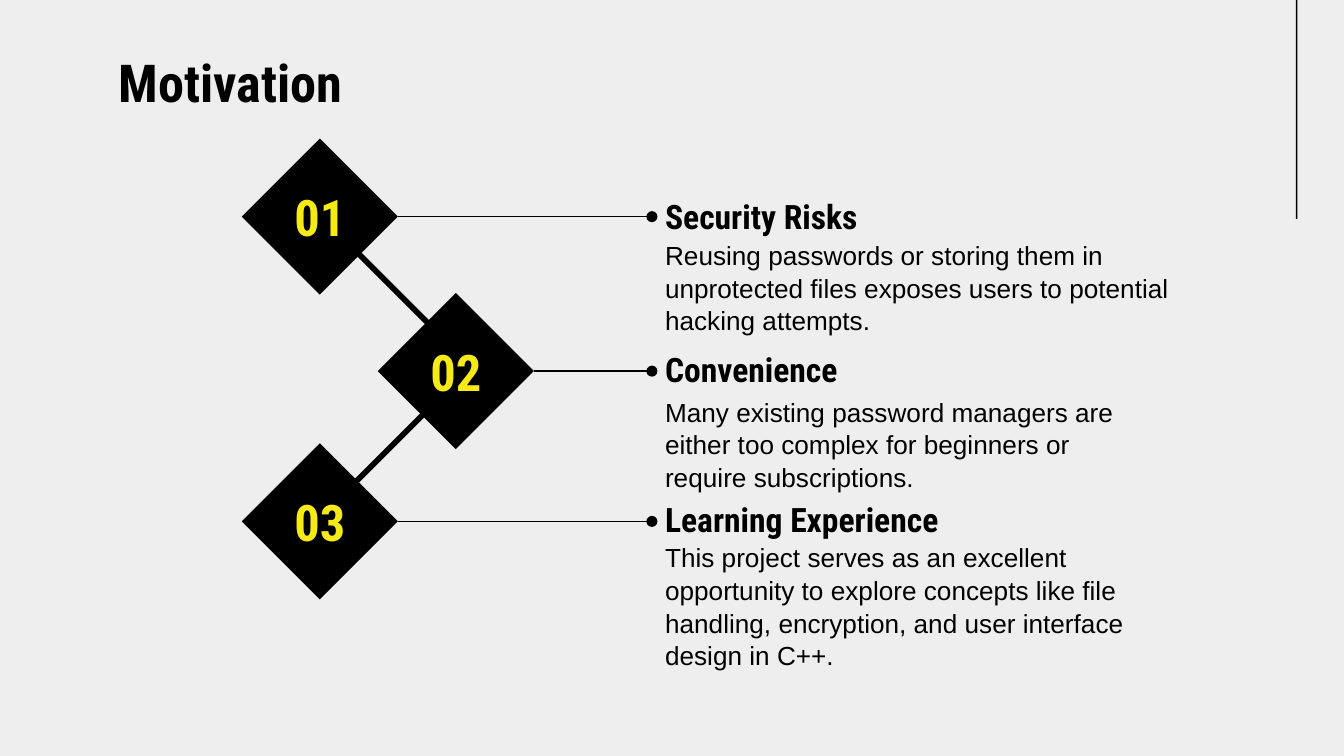
from lxml.etree import SubElement
from pptx import Presentation
from pptx.dml.color import RGBColor
from pptx.enum.shapes import MSO_CONNECTOR, MSO_SHAPE
from pptx.enum.text import MSO_ANCHOR, MSO_AUTO_SIZE, PP_ALIGN
from pptx.oxml.ns import qn
from pptx.util import Cm, Pt

BLACK = RGBColor(0x00, 0x00, 0x00)
YELLOW = RGBColor(0xF5, 0xEA, 0x15)
BACKGROUND = RGBColor(0xEF, 0xEE, 0xEF)
HEADING_FONT = "Roboto Condensed"
BODY_FONT = "Arial"

DIAMOND_SIZE = 2.95
TEXT_LEFT = 12.32
HEADING_HEIGHT = 0.71

# Number, heading, body, diamond left, diamond top, heading top,
# body top, body width, body height (cm)
REASONS = [
    ("01", "Security Risks",
     "Reusing passwords or storing them in unprotected files exposes users "
     "to potential hacking attempts.",
     4.57, 2.62, 3.73, 4.67, 10.08, 1.52),
    ("02", "Convenience",
     "Many existing password managers are either too complex for beginners "
     "or require subscriptions.",
     7.14, 5.54, 6.63, 7.59, 9.83, 1.6),
    ("03", "Learning Experience",
     "This project serves as an excellent opportunity to explore concepts "
     "like file handling, encryption, and user interface design in C++.",
     4.57, 8.38, 9.45, 10.41, 9.83, 2.08),
]

# Thick links between neighbouring diamonds: start x, start y, end x, end y
LINKS = [(6.55, 4.57, 8.15, 6.17), (8.08, 7.75, 6.48, 9.35)]


class SlideBuilder:
    """Holds the style and the current slide."""

    def __init__(self, slide):
        self.slide = slide
        fill = slide.background.fill
        fill.solid()
        fill.fore_color.rgb = BACKGROUND

    def set_text(self, shape, text, size, font=HEADING_FONT, bold=True,
                 color=BLACK, align=PP_ALIGN.LEFT, spacing=1.0):
        frame = shape.text_frame
        frame.word_wrap = True
        frame.auto_size = MSO_AUTO_SIZE.NONE
        frame.vertical_anchor = MSO_ANCHOR.MIDDLE
        frame.margin_left = frame.margin_right = Cm(0.25)
        frame.margin_top = frame.margin_bottom = Cm(0.25)
        frame.text = text
        paragraph = frame.paragraphs[0]
        paragraph.alignment = align
        paragraph.line_spacing = spacing
        paragraph.font.name = font
        paragraph.font.size = Pt(size)
        paragraph.font.bold = bold
        paragraph.font.color.rgb = color

    def title(self, text, left, top, width, height):
        shape = self.slide.shapes.title
        shape.left, shape.top = Cm(left), Cm(top)
        shape.width, shape.height = Cm(width), Cm(height)
        self.set_text(shape, text, 28, align=PP_ALIGN.CENTER)

    def text(self, text, left, top, width, height, size, **style):
        shape = self.slide.shapes.add_textbox(
            Cm(left), Cm(top), Cm(width), Cm(height))
        self.set_text(shape, text, size, **style)

    def solid(self, kind, left, top, width, height):
        shape = self.slide.shapes.add_shape(
            kind, Cm(left), Cm(top), Cm(width), Cm(height))
        shape.shadow.inherit = False
        shape.fill.solid()
        shape.fill.fore_color.rgb = BLACK
        shape.line.fill.background()
        return shape

    def diamond(self, number, left, top):
        shape = self.solid(MSO_SHAPE.DIAMOND, left, top,
                           DIAMOND_SIZE, DIAMOND_SIZE)
        self.set_text(shape, number, 27, color=YELLOW, align=PP_ALIGN.CENTER)
        return shape

    def line(self, start_x, start_y, end_x, end_y, width):
        connector = self.slide.shapes.add_connector(
            MSO_CONNECTOR.STRAIGHT,
            Cm(start_x), Cm(start_y), Cm(end_x), Cm(end_y))
        connector.line.color.rgb = BLACK
        connector.line.width = Pt(width)
        SubElement(connector._element.spPr, qn("a:effectLst"))
        return connector

    def leader(self, diamond, left, top):
        """Thin line from a dot beside the heading to the diamond's tip."""
        middle = top + DIAMOND_SIZE / 2
        connector = self.line(TEXT_LEFT, middle,
                              left + DIAMOND_SIZE, middle, 0.75)
        connector.end_connect(diamond, 3)
        outline = connector._element.spPr.find(qn("a:ln"))
        SubElement(outline, qn("a:headEnd"), type="oval")


def main():
    presentation = Presentation()
    presentation.slide_width = Cm(25.4)
    presentation.slide_height = Cm(14.29)
    title_only = presentation.slide_layouts[5]
    builder = SlideBuilder(presentation.slides.add_slide(title_only))

    # Title and the rule at the right edge
    builder.solid(MSO_SHAPE.RECTANGLE, 24.49, 0, 0.03, 4.14)
    builder.title("Motivation", -6.35, 0.74, 21.41, 1.6)

    # Reasons: diamond, leader line, heading and body
    for (number, heading, body, left, top, heading_top,
         body_top, body_width, body_height) in REASONS:
        diamond = builder.diamond(number, left, top)
        builder.leader(diamond, left, top)
        builder.text(heading, TEXT_LEFT, heading_top, 8.31, HEADING_HEIGHT, 18)
        builder.text(body, TEXT_LEFT, body_top, body_width, body_height, 14,
                     font=BODY_FONT, bold=False, spacing=1.04)

    # Links between the diamonds
    for link in LINKS:
        builder.line(*link, 3)

    presentation.save("out.pptx")


if __name__ == "__main__":
    main()
